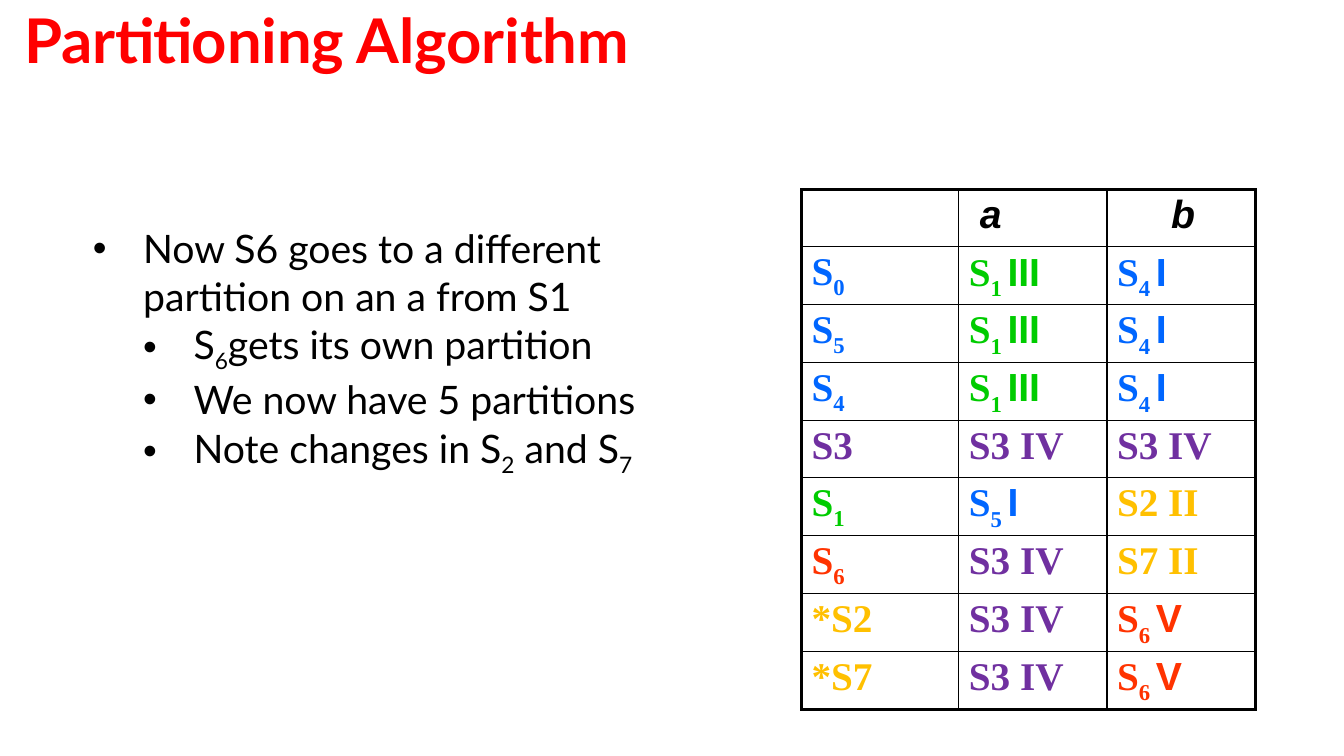
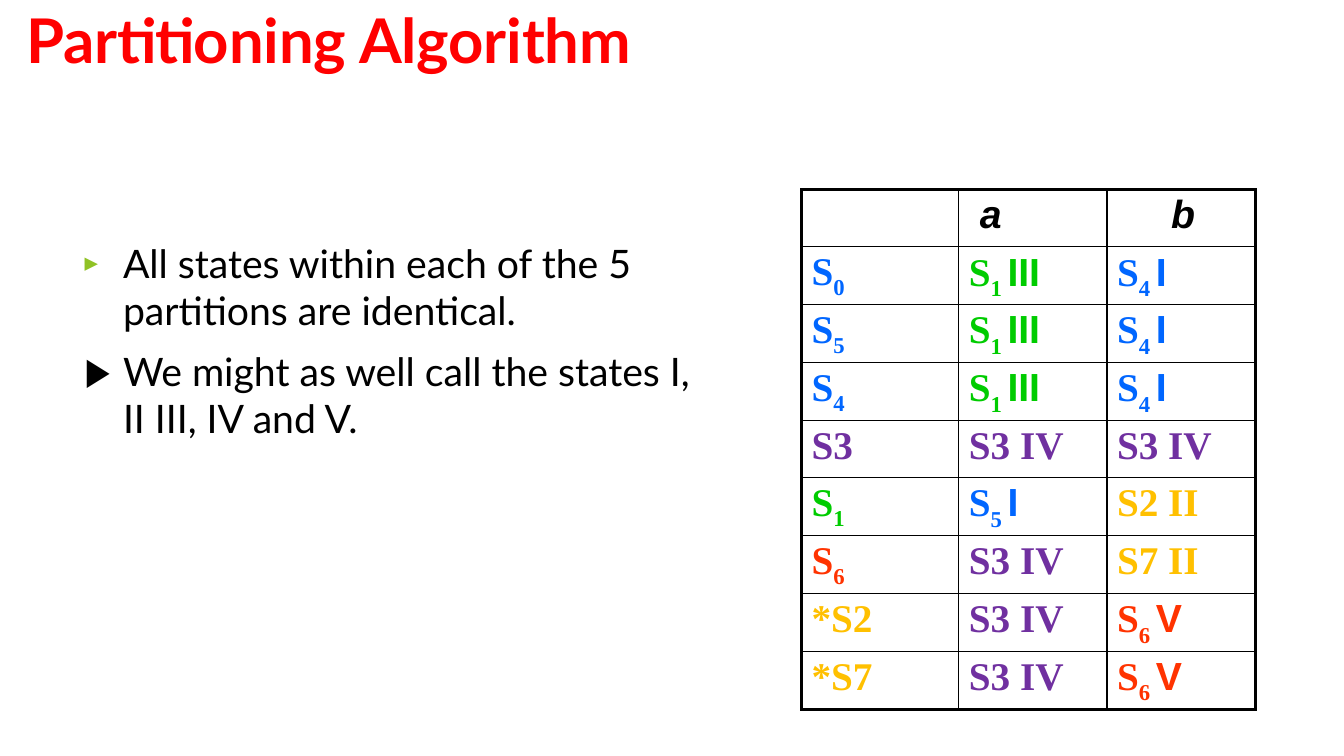
"""Build two slides on the state partitioning algorithm."""
from dataclasses import dataclass
from typing import Any, NamedTuple

import pptx
import pptx.dml.color
import pptx.enum.text
import pptx.oxml.ns
import pptx.slide
import pptx.table
import pptx.text.text
import pptx.util
from lxml import etree

Inches = pptx.util.Inches
Pt = pptx.util.Pt
Align = pptx.enum.text.PP_ALIGN
Anchor = pptx.enum.text.MSO_ANCHOR
AutoSize = pptx.enum.text.MSO_AUTO_SIZE


@dataclass(frozen=True)
class Theme:
    title_colour: str = "FF0000"
    text_colour: str = "000000"
    accent: str = "90C225"
    blue: str = "0066FF"
    amber: str = "FFC000"
    green: str = "00CC00"
    purple: str = "7030A0"
    red: str = "FF3300"
    main_font: str = "Lato"
    state_font: str = "Times New Roman"
    label_font: str = "Arial"
    bullet_font: str = "DejaVu Sans Mono"
    title_size: float = 44
    text_size: float = 28
    inner_line: float = 1
    outer_line: float = 2.25


THEME = Theme()


class Box(NamedTuple):
    left: float
    top: float
    width: float
    height: float


class TextRun(NamedTuple):
    text: str
    colour: str = THEME.text_colour
    font: str = THEME.main_font
    size: float = THEME.text_size
    bold: bool = False
    italic: bool = False
    baseline: int = 0
    spacing: float = 0


class Bullet(NamedTuple):
    symbol: str = "•"
    colour: str = THEME.text_colour
    font: str = THEME.label_font
    percent: int = 100


class Item(NamedTuple):
    runs: tuple[TextRun, ...]
    left: float
    hanging: float
    bullet: Bullet = Bullet()
    level: int = 0
    space_before: float = 1.1


class PartitionSlide(NamedTuple):
    title_box: Box
    body_box: Box
    items: tuple[Item, ...]
    right_inset: float = 0


class Partition(NamedTuple):
    numeral: str
    colour: str
    states: tuple[int, ...]
    subscripted: bool = True


PARTITIONS = (
    Partition("I", THEME.blue, (0, 4, 5)),
    Partition("II", THEME.amber, (2, 7), False),
    Partition("III", THEME.green, (1,)),
    Partition("IV", THEME.purple, (3,), False),
    Partition("V", THEME.red, (6,)),
)
PARTITION_OF = {state: group for group in PARTITIONS for state in group.states}
FINAL_STATES = (2, 7)
TRANSITIONS = ((0, 1, 4), (5, 1, 4), (4, 1, 4), (3, 3, 3),
               (1, 5, 2), (6, 3, 7), (2, 3, 6), (7, 3, 6))
TABLE_BOX = Box(7.95, 1.88, 4.5, 5.1)
COLUMN_WIDTHS = (1.56, 1.47, 1.47)


def body_runs(*texts: str) -> tuple[TextRun, ...]:
    """Make runs in which every second text is a subscript."""
    return tuple(TextRun(text, baseline=-25 * (index % 2)) for index, text in enumerate(texts))


SLIDES = (
    PartitionSlide(
        Box(0.23, 0, 7.84, 0.76),
        Box(0.88, 2.22, 6.12, 2.9),
        (Item(body_runs("Now S6 goes to a different partition on an a from S1"), 0.54, 0.5),
         *(Item(runs, 1.04, 0.5, level=1) for runs in (
             body_runs("S", "6", "gets its own partition"),
             body_runs("We now have 5 partitions"),
             body_runs("Note changes in S", "2", " and S", "7")))),
    ),
    PartitionSlide(
        Box(0.25, 0, 7.68, 0.76),
        Box(0.83, 2.36, 6.36, 2.04),
        (Item(body_runs("All states within each of the 5 partitions are identical."), 0.39, 0.38,
              Bullet("▶", THEME.accent, THEME.bullet_font, 57)),
         Item(body_runs("We might as well call the states I, II III, IV and V."), 0.39, 0.38,
              Bullet("▶", font=THEME.main_font), space_before=9.9)),
        right_inset=0.2,
    ),
)


def apply_format(target: Any, values: dict[str, Any]) -> None:
    """Set each named attribute of the target."""
    for name, value in values.items():
        setattr(target, name, value)


def add_element(parent: Any, tag: str, **attributes: str) -> Any:
    """Append a drawing element to its parent."""
    element = etree.SubElement(parent, pptx.oxml.ns.qn(tag))
    for name, value in attributes.items():
        element.set(name, value)
    return element


def place(shape: Any, box: Box) -> None:
    """Move and size a shape."""
    apply_format(shape, {name: Inches(value) for name, value in box._asdict().items()})


def add_runs(paragraph: pptx.text.text._Paragraph, runs: tuple[TextRun, ...]) -> None:
    """Add formatted runs to a paragraph."""
    for part in runs:
        run = paragraph.add_run()
        run.text = part.text
        apply_format(run.font, {"name": part.font, "size": Pt(part.size),
                                "bold": part.bold, "italic": part.italic})
        run.font.color.rgb = pptx.dml.color.RGBColor.from_string(part.colour)
        properties = run._r.get_or_add_rPr()
        if part.baseline:
            properties.set("baseline", str(part.baseline * 1000))
        if part.spacing:
            properties.set("spc", str(round(part.spacing * 100)))


def indent(paragraph: pptx.text.text._Paragraph, left: float, hanging: float = 0) -> Any:
    """Indent a paragraph and return its properties."""
    properties = paragraph._p.get_or_add_pPr()
    properties.set("marL", str(Inches(left)))
    properties.set("indent", str(Inches(-hanging)))
    return properties


def format_frame(frame: pptx.text.text.TextFrame, anchor: Any, right_inset: float = 0) -> None:
    """Give a placeholder the shared insets and fitting."""
    apply_format(frame, {"margin_left": 0, "margin_top": Inches(0.01),
                         "margin_right": Inches(right_inset), "margin_bottom": 0,
                         "word_wrap": True, "vertical_anchor": anchor,
                         "auto_size": AutoSize.SHAPE_TO_FIT_TEXT})


def add_title(slide: pptx.slide.Slide, box: Box) -> None:
    """Fill the title placeholder."""
    title = slide.shapes.title
    place(title, box)
    format_frame(title.text_frame, Anchor.MIDDLE)
    paragraph = title.text_frame.paragraphs[0]
    paragraph.alignment = Align.LEFT
    indent(paragraph, 0.01)
    add_runs(paragraph, (TextRun("Partitioning Algorithm", THEME.title_colour,
                                 size=THEME.title_size, bold=True, spacing=-0.1),))


def add_list(slide: pptx.slide.Slide, content: PartitionSlide) -> None:
    """Fill the body placeholder with bulleted items."""
    body = slide.placeholders[1]
    place(body, content.body_box)
    frame = body.text_frame
    format_frame(frame, Anchor.TOP, content.right_inset)
    for index, item in enumerate(content.items):
        paragraph = frame.add_paragraph() if index else frame.paragraphs[0]
        apply_format(paragraph, {"level": item.level, "alignment": Align.LEFT,
                                 "space_before": Pt(item.space_before if index else 0)})
        properties = indent(paragraph, item.left, item.hanging)
        colour = add_element(properties, "a:buClr")
        add_element(colour, "a:srgbClr", val=item.bullet.colour)
        add_element(properties, "a:buSzPct", val=str(item.bullet.percent * 1000))
        add_element(properties, "a:buFont", typeface=item.bullet.font)
        add_element(properties, "a:buChar", char=item.bullet.symbol)
        add_runs(paragraph, item.runs)


def state_runs(state: int, is_target: bool) -> tuple[TextRun, ...]:
    """Name a state in its partition colour, with the numeral if it is a target."""
    group = PARTITION_OF[state]
    base = TextRun("S", group.colour, THEME.state_font, bold=True)
    if not group.subscripted:
        star = "*" if state in FINAL_STATES and not is_target else ""
        numeral = f" {group.numeral}" if is_target else ""
        return (base._replace(text=f"{star}S{state}{numeral}"),)
    if not is_target:
        return (base, base._replace(text=str(state), baseline=-26))
    return (base, base._replace(text=f"{state} ", baseline=-26),
            base._replace(text=group.numeral, font=THEME.label_font, spacing=-0.1))


def format_cell(cell: pptx.table._Cell, outer_sides: dict[str, bool]) -> None:
    """Set the insets, borders and empty fill of a cell."""
    apply_format(cell, {"margin_left": 0, "margin_top": Inches(0.04),
                        "margin_right": 0, "margin_bottom": 0})
    properties = cell._tc.get_or_add_tcPr()
    for tag, is_outer in outer_sides.items():
        width = THEME.outer_line if is_outer else THEME.inner_line
        border = add_element(properties, tag, w=str(Pt(width)))
        add_element(add_element(border, "a:solidFill"), "a:srgbClr", val=THEME.text_colour)
    cell.fill.background()


def add_transition_table(slide: pptx.slide.Slide) -> None:
    """Draw the transition table coloured by partition."""
    row_count, column_count = len(TRANSITIONS) + 1, len(COLUMN_WIDTHS)
    lengths = (Inches(value) for value in TABLE_BOX)
    table = slide.shapes.add_table(row_count, column_count, *lengths).table
    apply_format(table, {"first_row": False, "horz_banding": False})
    for column, width in zip(table.columns, COLUMN_WIDTHS):
        column.width = Inches(width)
    for row in table.rows:
        row.height = Inches(TABLE_BOX.height / row_count)
    for row in range(row_count):
        for column in range(column_count):
            cell = table.cell(row, column)
            format_cell(cell, {"a:lnL": column == 0, "a:lnR": column == column_count - 1,
                               "a:lnT": row == 0, "a:lnB": row == row_count - 1})
            paragraph = cell.text_frame.paragraphs[0]
            if row:
                indent(paragraph, 0.1)
                add_runs(paragraph, state_runs(TRANSITIONS[row - 1][column], column > 0))
    heading = TextRun("", font=THEME.label_font, bold=True, italic=True)
    for column, letter, alignment, left in ((1, "a", Align.LEFT, 0.21), (2, "b", Align.CENTER, 0.04)):
        paragraph = table.cell(0, column).text_frame.paragraphs[0]
        paragraph.alignment = alignment
        indent(paragraph, left)
        add_runs(paragraph, (heading._replace(text=letter),))


def main() -> None:
    """Build and save the presentation."""
    presentation = pptx.Presentation()
    apply_format(presentation, {"slide_width": Inches(13.33), "slide_height": Inches(7.5)})
    for content in SLIDES:
        slide = presentation.slides.add_slide(presentation.slide_layouts[1])
        add_title(slide, content.title_box)
        add_list(slide, content)
        add_transition_table(slide)
    presentation.save("out.pptx")


if __name__ == "__main__":
    main()
